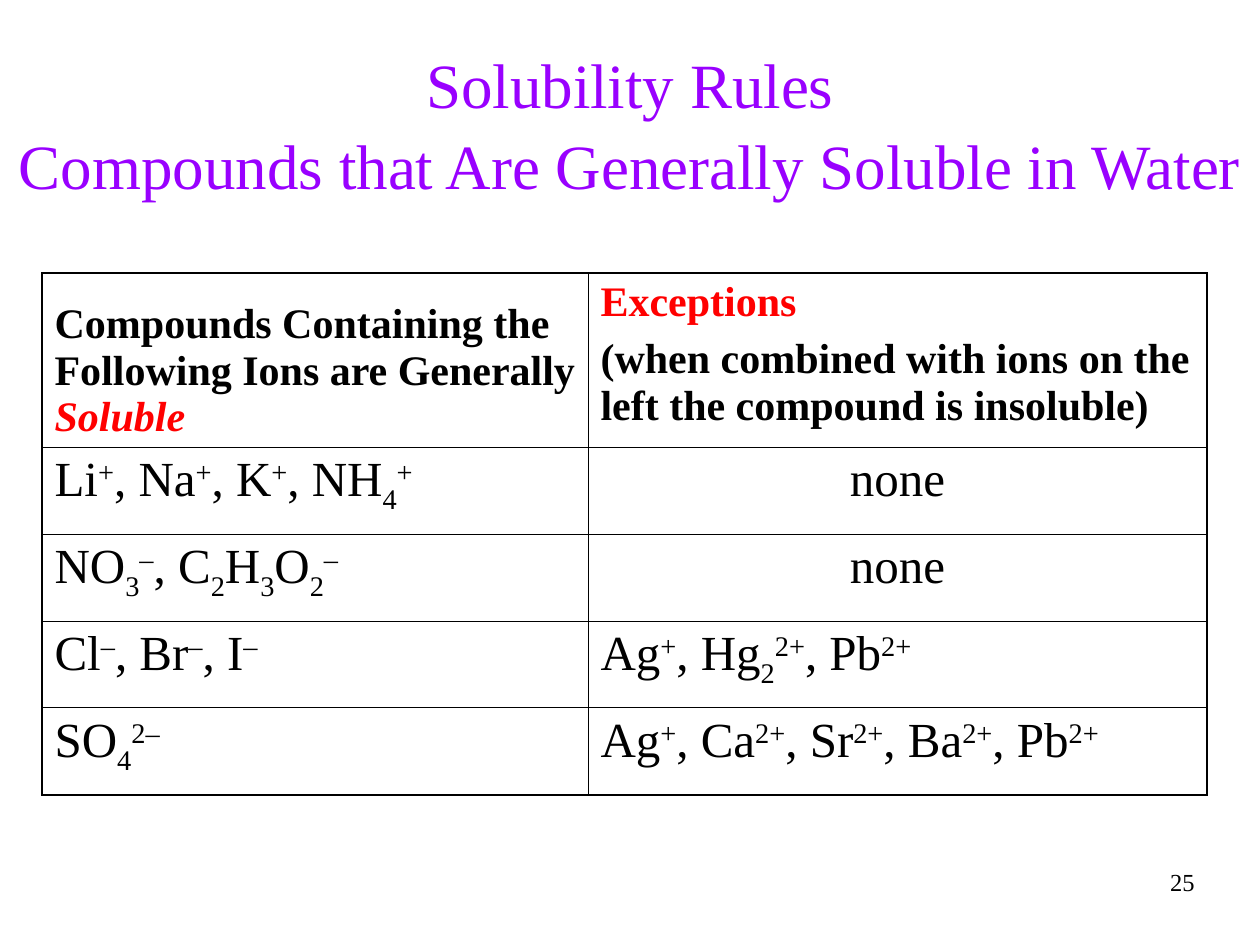
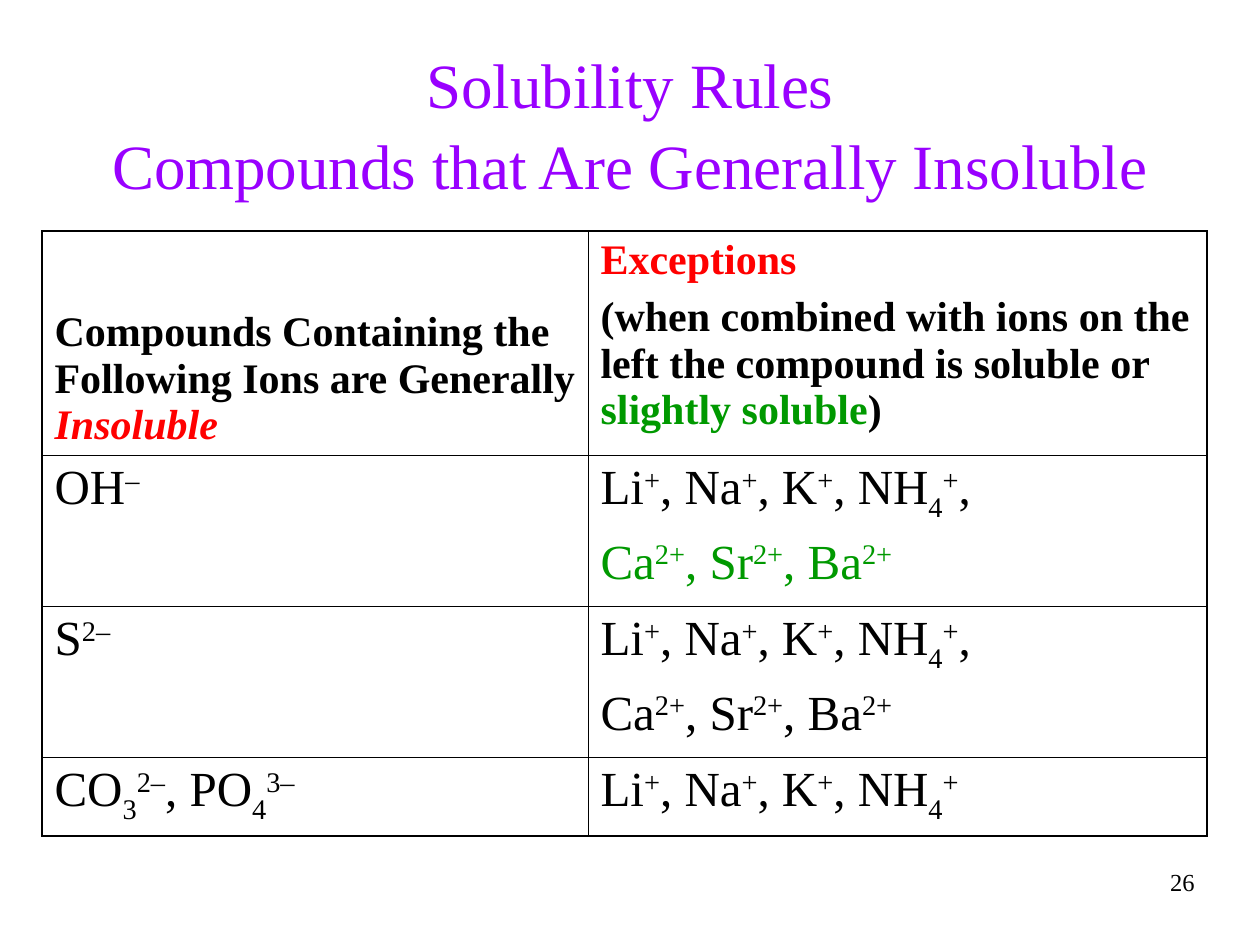
import pptx
import pptx.util
import pptx.dml.color
import pptx.enum.text
import pptx.oxml

SCALE = 914400 / 126
FONT = "Times New Roman"
BLACK, RED, GREEN, PURPLE = "000000", "FF0000", "009900", "9900FF"
THICK, THIN = 1.08, 0.45
ALIGN = pptx.enum.text.PP_ALIGN
ANCHOR = pptx.enum.text.MSO_ANCHOR
RAISE = {"^": "30000", "_": "-25000"}
NS = "http://schemas.openxmlformats.org/drawingml/2006/main"

ALKALI = "Li^+|, Na^+|, K^+|, NH_4^+"
EARTH = "Ca^2+|, Sr^2+|, Ba^2+"


def px(count):
    return pptx.util.Emu(round(count * SCALE))


def paint(font, color):
    font.color.rgb = pptx.dml.color.RGBColor.from_string(color)


def style(para, size, color=BLACK, bold=False, align=ALIGN.LEFT):
    para.alignment = align
    para.font.name = FONT
    para.font.size = pptx.util.Pt(size)
    para.font.bold = bold
    paint(para.font, color)


def add_text(para, text, color=None, slant=False):
    for mark in "^_|":
        text = text.replace(mark, "~" + mark)
    for part in filter(None, text.split("~")):
        run = para.add_run()
        run.text = part.lstrip("^_|")
        if part[0] in RAISE:
            run.font._rPr.set("baseline", RAISE[part[0]])
        if color:
            paint(run.font, color)
        if slant:
            run.font.italic = True


def fill_cell(cell, paras, head):
    frame = cell.text_frame
    for i, runs in enumerate(paras):
        para = frame.paragraphs[0] if i == 0 else frame.add_paragraph()
        if i:
            para.space_before = pptx.util.Pt(6 if head else 7)
        align = ALIGN.CENTER if runs == ["none"] else ALIGN.LEFT
        style(para, 24 if head else 28, bold=head, align=align)
        for run in runs:
            if isinstance(run, str):
                run = (run,)
            add_text(para, *run)


def add_edges(cell, outer):
    props = cell._tc.get_or_add_tcPr()
    for i, side in enumerate("LRTB"):
        width = pptx.util.Pt(THICK if side in outer else THIN)
        props.insert(i, pptx.oxml.parse_xml(
            f'<a:ln{side} xmlns:a="{NS}" w="{width}"><a:solidFill>'
            f'<a:srgbClr val="{BLACK}"/></a:solidFill></a:ln{side}>'))


def add_title(slide, text):
    title = slide.shapes.title
    title.left, title.top, title.width, title.height = map(px, (0, 42, 1260, 158))
    frame = title.text_frame
    frame.text = text
    frame.word_wrap = True
    frame.auto_size = pptx.enum.text.MSO_AUTO_SIZE.NONE
    frame.vertical_anchor = ANCHOR.MIDDLE
    para = frame.paragraphs[0]
    para.line_spacing = 1.07
    style(para, 36, PURPLE, align=ALIGN.CENTER)


def add_number(slide, number):
    box = slide.shapes.add_textbox(*map(px, (945, 861, 262, 63)))
    box.text_frame.word_wrap = True
    para = box.text_frame.paragraphs[0]
    para.text = str(number)
    style(para, 14, align=ALIGN.RIGHT)


def add_rules(slide, top, heights, rows):
    cols = (546, 619)
    shape = slide.shapes.add_table(len(rows), len(cols), px(42), px(top),
                                   px(sum(cols)), px(sum(heights)))
    table = shape.table
    table.first_row = table.horz_banding = False
    for col, width in zip(table.columns, cols):
        col.width = px(width)
    for r, (row, height) in enumerate(zip(rows, heights)):
        table.rows[r].height = px(height)
        for c, paras in enumerate(row):
            cell = table.cell(r, c)
            cell.fill.background()
            fill_cell(cell, paras, r == 0)
            outer = "LR"[c]
            if r == 0:
                outer += "T"
            if r == len(rows) - 1:
                outer += "B"
            add_edges(cell, outer)
    table.cell(0, 0).vertical_anchor = ANCHOR.BOTTOM


def make_head(kind, *note):
    return ([["Compounds Containing the Following Ions are Generally ",
              (kind, RED, True)]],
            [[("Exceptions", RED)],
             ["(when combined with ions on the left the compound is " + note[0],
              *note[1:]]])


def add_slide(deck, number, topic, top, heights, rows):
    slide = deck.slides.add_slide(deck.slide_layouts[5])
    add_title(slide, "Solubility Rules\vCompounds that Are Generally " + topic)
    add_rules(slide, top, heights, rows)
    add_number(slide, number)


def main():
    deck = pptx.Presentation()
    deck.slide_width, deck.slide_height = px(1260), px(945)
    add_slide(deck, 25, "Soluble in Water", 273, [174] + [87] * 4, [
        make_head("Soluble", "insoluble)"),
        ([[ALKALI]], [["none"]]),
        ([["NO_3^–|, C_2|H_3|O_2^–"]], [["none"]]),
        ([["Cl^–|, Br^–|, I^–"]], [["Ag^+|, Hg_2^2+|, Pb^2+"]]),
        ([["SO_4^2–"]], [["Ag^+|, " + EARTH + "|, Pb^2+"]]),
    ])
    add_slide(deck, 26, "Insoluble", 231, [224, 151, 151, 79], [
        make_head("Insoluble", "soluble or ", ("slightly soluble", GREEN), ")"),
        ([["OH^–"]], [[ALKALI + "|,"], [(EARTH, GREEN)]]),
        ([["S^2–"]], [[ALKALI + "|,"], [EARTH]]),
        ([["CO_3^2–|, PO_4^3–"]], [[ALKALI]]),
    ])
    deck.save("out.pptx")


if __name__ == "__main__":
    main()
